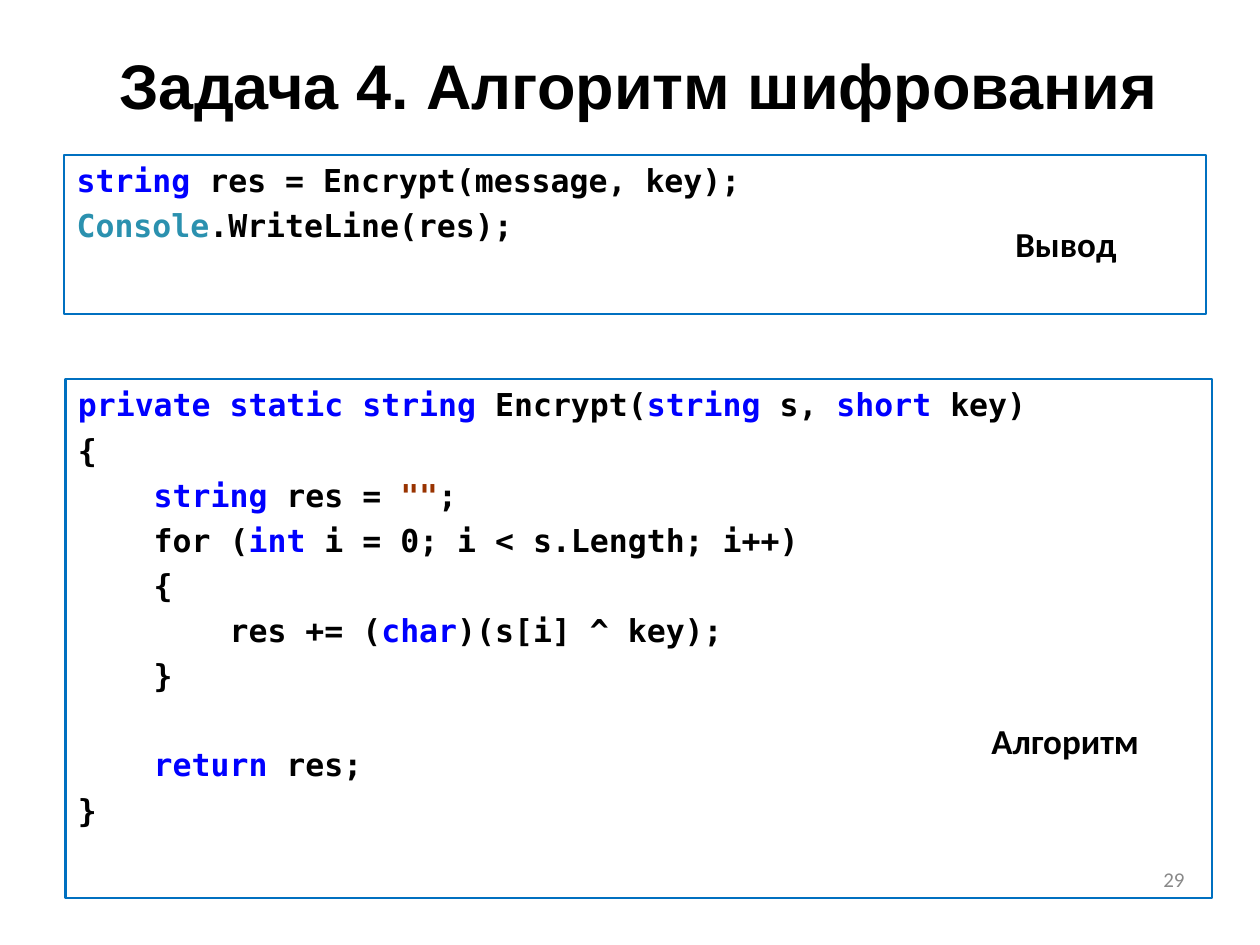
from pptx import Presentation
from pptx.dml.color import RGBColor
from pptx.enum.shapes import MSO_SHAPE
from pptx.enum.text import MSO_ANCHOR, PP_ALIGN
from pptx.util import Inches, Pt

RECT = MSO_SHAPE.RECTANGLE
TOP, MIDDLE = MSO_ANCHOR.TOP, MSO_ANCHOR.MIDDLE
LEFT, CENTER, RIGHT = PP_ALIGN.LEFT, PP_ALIGN.CENTER, PP_ALIGN.RIGHT

BLACK = RGBColor(0x00, 0x00, 0x00)
GRAY = RGBColor(0x89, 0x89, 0x89)
BORDER = RGBColor(0x00, 0x70, 0xC0)
KEYWORD = RGBColor(0x00, 0x00, 0xFF)
TYPE = RGBColor(0x2B, 0x91, 0xAF)
LITERAL = RGBColor(0x99, 0x33, 0x00)

CODE_FONT, CODE_SIZE = "DejaVu Sans Mono", 18
LINE_GAP = 4.2    # points between code lines
LINE_PITCH = 25.1  # points from one code line to the next

# Each code line is a list of (text, colour); None is an empty line of code.
OUTPUT_CODE = [
    [("string", KEYWORD), (" res = Encrypt(message, key);", BLACK)],
    [("Console", TYPE), (".WriteLine(res);", BLACK)],
]
ALGORITHM_CODE = [
    [("private static string ", KEYWORD), ("Encrypt(", BLACK), ("string", KEYWORD),
     (" s, ", BLACK), ("short", KEYWORD), (" key)", BLACK)],
    [("{", BLACK)],
    [("    ", BLACK), ("string", KEYWORD), (" res = ", BLACK), ('""', LITERAL), (";", BLACK)],
    [("    for (", BLACK), ("int", KEYWORD), (" i = 0; i < s.Length; i++)", BLACK)],
    [("    {", BLACK)],
    [("        res += (", BLACK), ("char", KEYWORD), (")(s[i] ^ key);", BLACK)],
    [("    }", BLACK)],
    None,
    [("    ", BLACK), ("return", KEYWORD), (" res;", BLACK)],
    [("}", BLACK)],
]
CODE_BOXES = [
    ((0.51, 1.23, 9.06, 1.26), OUTPUT_CODE),
    ((0.52, 3.01, 9.1, 4.12), ALGORITHM_CODE),
]
# text, box, font, size, colour, bold, alignment, anchor, wrap
TEXTS = [
    ("Задача 4. Алгоритм шифрования", (0.57, 0.28, 9, 0.78), "Arial", 36, BLACK, True, CENTER, MIDDLE, True),
    ("29", (7.17, 6.83, 2.33, 0.52), "Calibri", 12, GRAY, False, RIGHT, TOP, True),
    ("Вывод", (7.96, 1.72, 1, 0.44), "Calibri", 20, BLACK, True, LEFT, TOP, False),
    ("Алгоритм", (7.77, 5.66, 1.38, 0.44), "Calibri", 20, BLACK, True, LEFT, TOP, False),
]


def add_run(p, text, font, size, color, bold):
    r = p.add_run()
    r.text = text
    r.font.name = font
    r.font.size = Pt(size)
    r.font.bold = bold
    r.font.color.rgb = color


def add_code_box(s, box, lines):
    sp = s.shapes.add_shape(RECT, *map(Inches, box))
    sp.shadow.inherit = False
    sp.fill.background()
    sp.line.color.rgb = BORDER
    sp.line.width = Pt(1.25)
    tf = sp.text_frame
    tf.word_wrap = True
    tf.vertical_anchor = TOP
    gap = 0
    for i, line in enumerate(lines):
        if line is None:
            gap += LINE_PITCH
            continue
        p = tf.add_paragraph() if i else tf.paragraphs[0]
        p.alignment = LEFT
        p.space_before = Pt(gap)
        for text, color in line:
            add_run(p, text, CODE_FONT, CODE_SIZE, color, True)
        gap = LINE_GAP


def add_text(s, text, box, font, size, color, bold, align, anchor, wrap):
    tf = s.shapes.add_textbox(*map(Inches, box)).text_frame
    tf.word_wrap = wrap
    tf.vertical_anchor = anchor
    p = tf.paragraphs[0]
    p.alignment = align
    add_run(p, text, font, size, color, bold)


def main():
    prs = Presentation()
    prs.slide_width, prs.slide_height = Inches(10), Inches(7.5)
    s = prs.slides.add_slide(prs.slide_layouts[6])
    for box, lines in CODE_BOXES:
        add_code_box(s, box, lines)
    for spec_row in TEXTS:
        add_text(s, *spec_row)
    prs.save("out.pptx")


if __name__ == "__main__":
    main()
